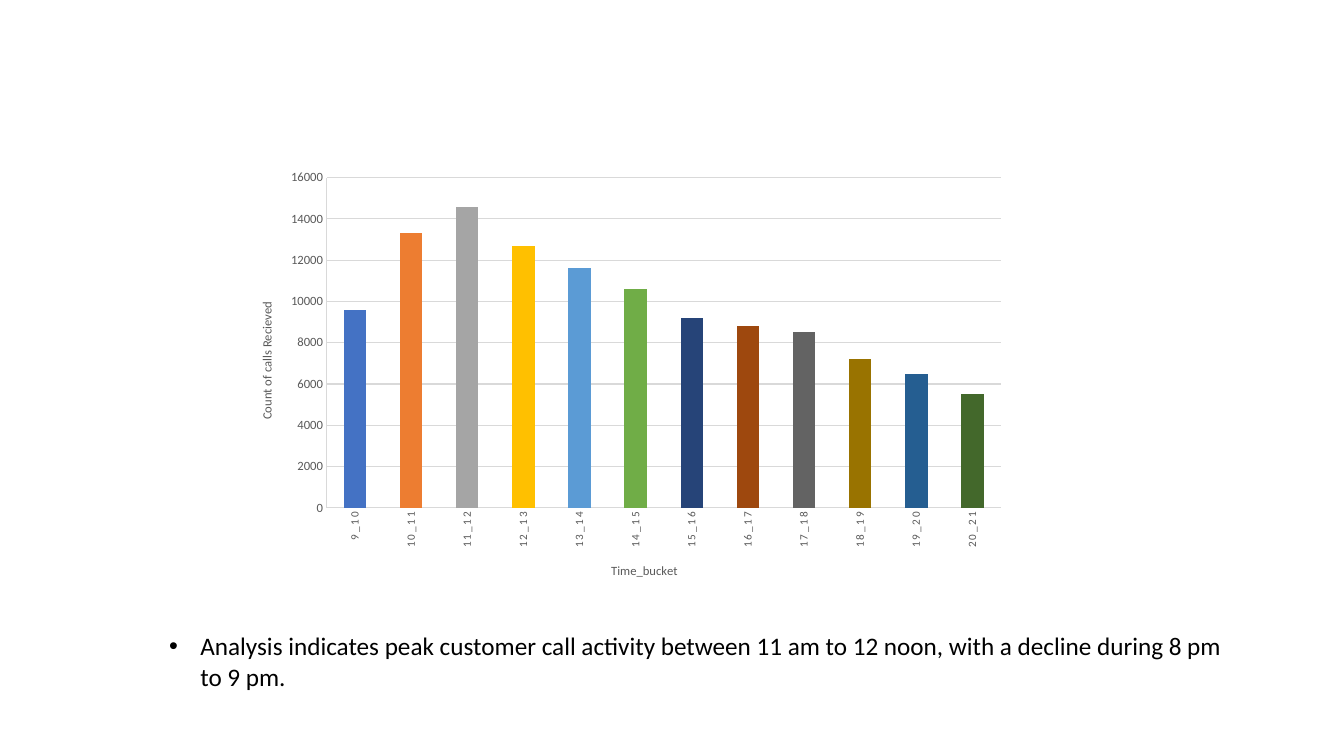
from lxml.etree import SubElement
from pptx import Presentation
from pptx.chart.data import CategoryChartData
from pptx.dml.color import RGBColor
from pptx.enum.chart import XL_CHART_TYPE, XL_TICK_MARK
from pptx.oxml import parse_xml
from pptx.oxml.ns import nsdecls, qn
from pptx.util import Cm, Pt

CALLS = [
    ("9_10", 9600, "4472C4"),
    ("10_11", 13300, "ED7D31"),
    ("11_12", 14600, "A5A5A5"),
    ("12_13", 12700, "FFC000"),
    ("13_14", 11600, "5B9BD5"),
    ("14_15", 10600, "70AD47"),
    ("15_16", 9200, "264478"),
    ("16_17", 8800, "9E480E"),
    ("17_18", 8500, "636363"),
    ("18_19", 7200, "997300"),
    ("19_20", 6500, "255E91"),
    ("20_21", 5500, "43682B"),
]
FINDING = ("Analysis indicates peak customer call activity between 11 am to 12 noon, "
           "with a decline during 8 pm to 9 pm.")
THEME = {"font": "Calibri", "text": "000000", "label": "595959", "line": "D9D9D9",
         "body": 18, "chart": 10, "value": 9, "category": 8, "title": 9}
CHART_BOX = Cm(5.87), Cm(4.04), Cm(19.74), Cm(10.95)
TEXT_BOX = Cm(4.01), Cm(15.77), Cm(27.69), Cm(1.8)
PLOT_LAYOUT = {"x": 0.12, "y": 0.04, "w": 0.86, "h": 0.76}


def set_font(font, size, color):
    values = {"name": THEME["font"], "size": Pt(THEME[size]), "bold": False}
    for key, value in values.items():
        setattr(font, key, value)
    font.color.rgb = RGBColor.from_string(THEME[color])


def set_line(line):
    line.color.rgb = RGBColor.from_string(THEME["line"])
    line.width = Pt(0.75)


def set_layout(parent, places, target=None):
    layout = parent.find(qn("c:layout"))
    if layout is None:
        layout = parse_xml(f"<c:layout {nsdecls('c')}/>")
        parent.insert(0, layout)
    manual = SubElement(layout, qn("c:manualLayout"))
    if target:
        SubElement(manual, qn("c:layoutTarget")).set("val", target)
    for key in ("x", "y"):
        SubElement(manual, qn(f"c:{key}Mode")).set("val", "edge")
    for key, value in places.items():
        SubElement(manual, qn(f"c:{key}")).set("val", str(value))


def format_axis(axis, title, size, places):
    axis.major_tick_mark = axis.minor_tick_mark = XL_TICK_MARK.NONE
    set_line(axis.format.line)
    set_font(axis.tick_labels.font, size, "label")
    p = axis.axis_title.text_frame.paragraphs[0]
    r = p.add_run()
    r.text = title
    set_font(r.font, "title", "label")
    set_layout(axis.axis_title._element, places)


def add_calls_chart(s):
    data = CategoryChartData()
    data.categories = [bucket for bucket, _, _ in CALLS]
    data.add_series("Series 1", [count for _, count, _ in CALLS])
    chart = s.shapes.add_chart(XL_CHART_TYPE.COLUMN_CLUSTERED, *CHART_BOX, data).chart
    chart.has_title = chart.has_legend = False
    set_font(chart.font, "chart", "text")

    plot = chart.plots[0]
    plot.gap_width, plot.vary_by_categories = 150, True
    for i, (_, _, color) in enumerate(CALLS):
        fill = plot.series[0].points[i].format.fill
        fill.solid()
        fill.fore_color.rgb = RGBColor.from_string(color)

    cat, val = chart.category_axis, chart.value_axis
    format_axis(cat, "Time_bucket", "category", {"x": 0.48, "y": 0.92})
    format_axis(val, "Count of calls Recieved", "value", {"x": 0.03, "y": 0.32})
    val.minimum_scale, val.maximum_scale, val.major_unit = 0, 16000, 2000
    set_line(val.major_gridlines.format.line)

    labels = cat._element.find(qn("c:txPr"))
    body = labels.find(qn("a:bodyPr"))
    body.set("rot", "-5400000")
    body.set("vert", "horz")
    next(labels.iter(qn("a:defRPr"))).set("spc", "120")
    set_layout(next(chart._chartSpace.iter(qn("c:plotArea"))), PLOT_LAYOUT, "inner")


def add_finding(s):
    tf = s.shapes.add_textbox(*TEXT_BOX).text_frame
    tf.word_wrap = True
    p = tf.paragraphs[0]
    r = p.add_run()
    r.text = FINDING
    set_font(r.font, "body", "text")
    pPr = p._p.get_or_add_pPr()
    pPr.set("marL", str(Cm(0.79)))
    pPr.set("indent", str(-Cm(0.79)))
    SubElement(pPr, qn("a:buFont")).set("typeface", "Arial")
    SubElement(pPr, qn("a:buChar")).set("char", "•")


def main():
    prs = Presentation()
    prs.slide_width, prs.slide_height = Cm(33.87), Cm(19.05)
    s = prs.slides.add_slide(prs.slide_layouts[6])
    add_calls_chart(s)
    add_finding(s)
    prs.save("out.pptx")


if __name__ == "__main__":
    main()
